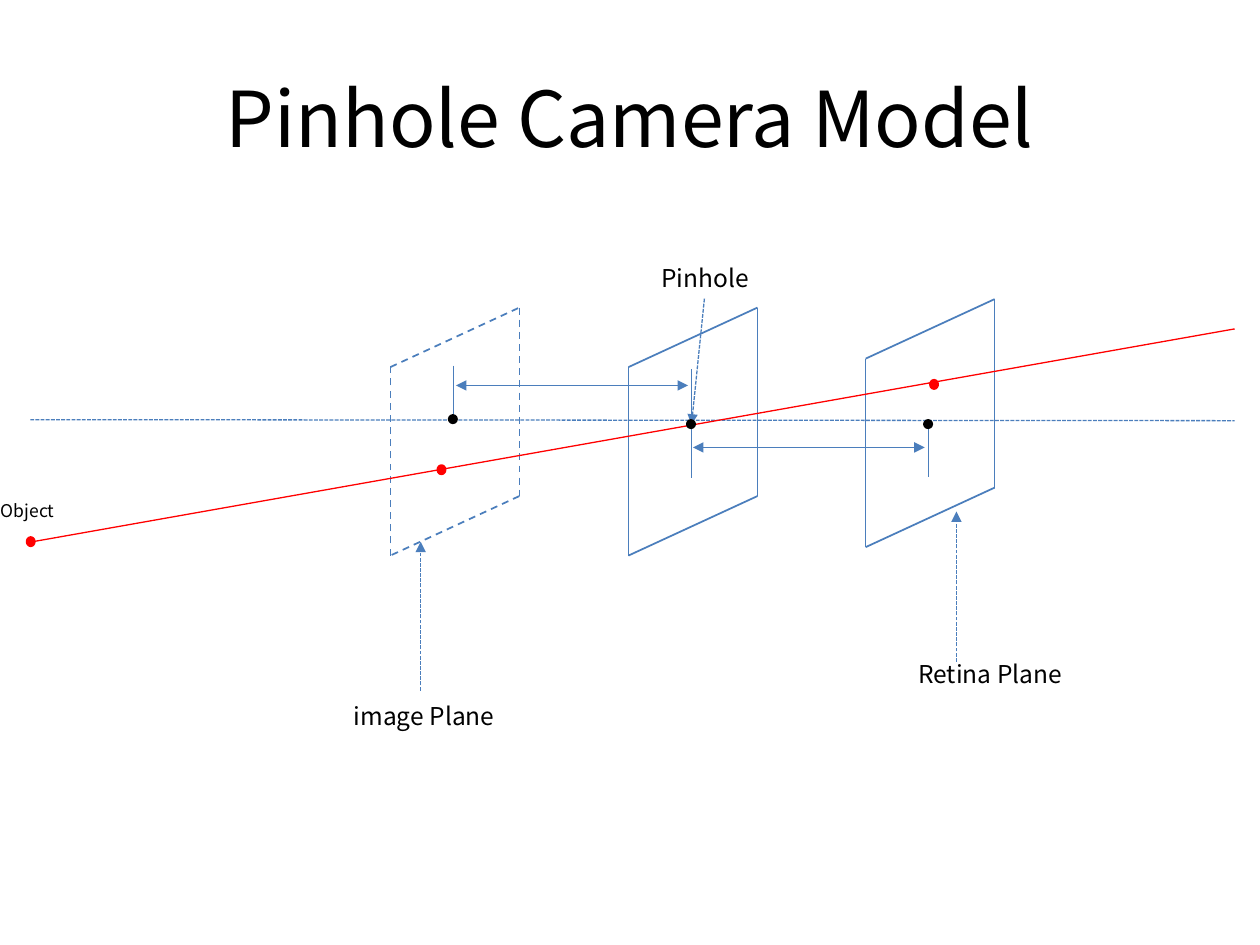
"""Build a slide showing the pinhole camera model."""
from itertools import pairwise

from lxml import etree
from pptx import Presentation
from pptx import util as u
from pptx.dml.color import RGBColor
from pptx.enum import dml, shapes, text
from pptx.oxml.ns import qn


class Theme:
    font = "Noto Sans CJK KR"
    ink = RGBColor(0, 0, 0)
    blue = RGBColor(0x4B, 0x7E, 0xBC)
    red = RGBColor(0xFF, 0, 0)
    title, label, small = 44, 14, 10
    thin, edge, ring = 0.75, 1, 2


DASH = dml.MSO_LINE.DASH
DOTS = dml.MSO_LINE.SQUARE_DOT
MID, TOP = text.MSO_ANCHOR.MIDDLE, text.MSO_ANCHOR.TOP
LEFT, CENTER = text.PP_ALIGN.LEFT, text.PP_ALIGN.CENTER

TITLE = ("Pinhole Camera Model", (1.27, 0.76, 22.86, 3.18))
LABELS = [
    ("Object", (-0.23, 9.96, 2.01, 0.69), Theme.small, LEFT),
    ("Retina Plane", (18.26, 13.16, 6.4, 0.86), Theme.label, LEFT),
    ("Pinhole", (10.95, 5.18, 6.53, 0.86), Theme.label, CENTER),
    ("image Plane", (6.88, 14, 6.4, 0.86), Theme.label, LEFT),
]
PLANES = [(7.87, 7.4, DASH), (12.67, 7.4, None), (17.45, 7.23, None)]
WIDE, HIGH, RISE = 2.6, 3.8, 1.2
AXIS = (0.61, 8.46, 24.89, 8.48)
RAY = (0.66, 10.92, 24.89, 6.63)
TICKS = [(9.14, 7.37), (13.94, 7.44), (13.94, 8.56), (18.72, 8.53)]
TICK = 1.08
SPANS = [(9.19, 7.77, 13.87, 7.77), (13.97, 9.02, 18.64, 9.02)]
POINTERS = [
    (19.28, 13.34, 19.28, 10.31),
    (14.2, 6.02, 13.94, 8.56),
    (8.48, 13.92, 8.48, 10.92),
]
POINTS = [
    (Theme.ink, 0.13, [(9.13, 8.45), (13.93, 8.55), (18.71, 8.55)]),
    (Theme.red, 0.15, [(0.62, 10.92), (8.9, 9.47), (18.83, 7.75)]),
]


def cm(nums):
    return [u.Cm(n) for n in nums]


def line(host, ends, color=Theme.blue, width=Theme.thin, dash=None, tips=()):
    wire = host.add_connector(shapes.MSO_CONNECTOR.STRAIGHT, *cm(ends))
    wire.line.color.rgb = color
    wire.line.width = u.Pt(width)
    if dash:
        wire.line.dash_style = dash
    for tip in tips:
        etree.SubElement(wire.line._get_or_add_ln(), qn(f"a:{tip}"), type="triangle")
    etree.SubElement(wire._element.spPr, qn("a:effectLst"))


def label(host, words, box, size, align, anchor=TOP):
    frame = host.add_textbox(*cm(box)).text_frame
    frame.word_wrap = True
    frame.vertical_anchor = anchor
    if anchor == TOP:
        frame.auto_size = text.MSO_AUTO_SIZE.SHAPE_TO_FIT_TEXT
    para = frame.paragraphs[0]
    para.text = words
    para.alignment = align
    para.font.name = Theme.font
    para.font.size = u.Pt(size)
    para.font.color.rgb = Theme.ink


def plane(host, x, y, dash):
    group = host.add_group_shape().shapes
    nodes = [(x, y), (x + WIDE, y - RISE), (x + WIDE, y - RISE + HIGH), (x, y + HIGH)]
    for start, end in pairwise(nodes + nodes[:1]):
        line(group, start + end, width=Theme.edge, dash=dash)


def dot(host, x, y, high, color):
    wide = 0.13
    box = cm((x - wide / 2, y - high / 2, wide, high))
    disc = host.add_shape(shapes.MSO_SHAPE.OVAL, *box)
    disc.shadow.inherit = False
    disc.fill.solid()
    disc.fill.fore_color.rgb = color
    disc.line.color.rgb = color
    disc.line.width = u.Pt(Theme.ring)


def main():
    deck = Presentation()
    deck.slide_width, deck.slide_height = cm((25.4, 19.05))
    host = deck.slides.add_slide(deck.slide_layouts[6]).shapes
    label(host, *TITLE, Theme.title, CENTER, MID)
    for item in PLANES:
        plane(host, *item)
    line(host, AXIS, dash=DOTS)
    line(host, RAY, Theme.red)
    for x, y in TICKS:
        line(host, (x, y, x, y + TICK))
    for ends in SPANS:
        line(host, ends, tips=("headEnd", "tailEnd"))
    for ends in POINTERS:
        line(host, ends, dash=DOTS, tips=("tailEnd",))
    for color, high, spots in POINTS:
        for x, y in spots:
            dot(host, x, y, high, color)
    for item in LABELS:
        label(host, *item)
    deck.save("out.pptx")


if __name__ == "__main__":
    main()
